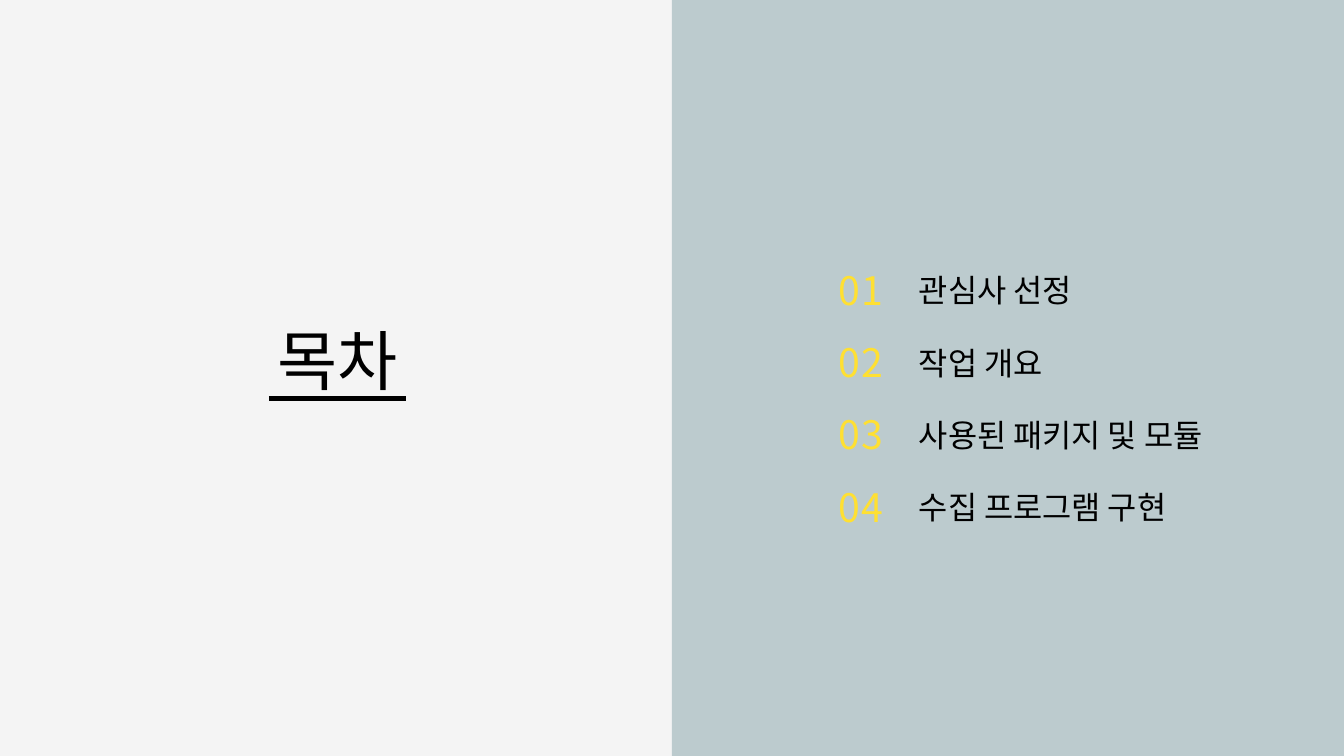
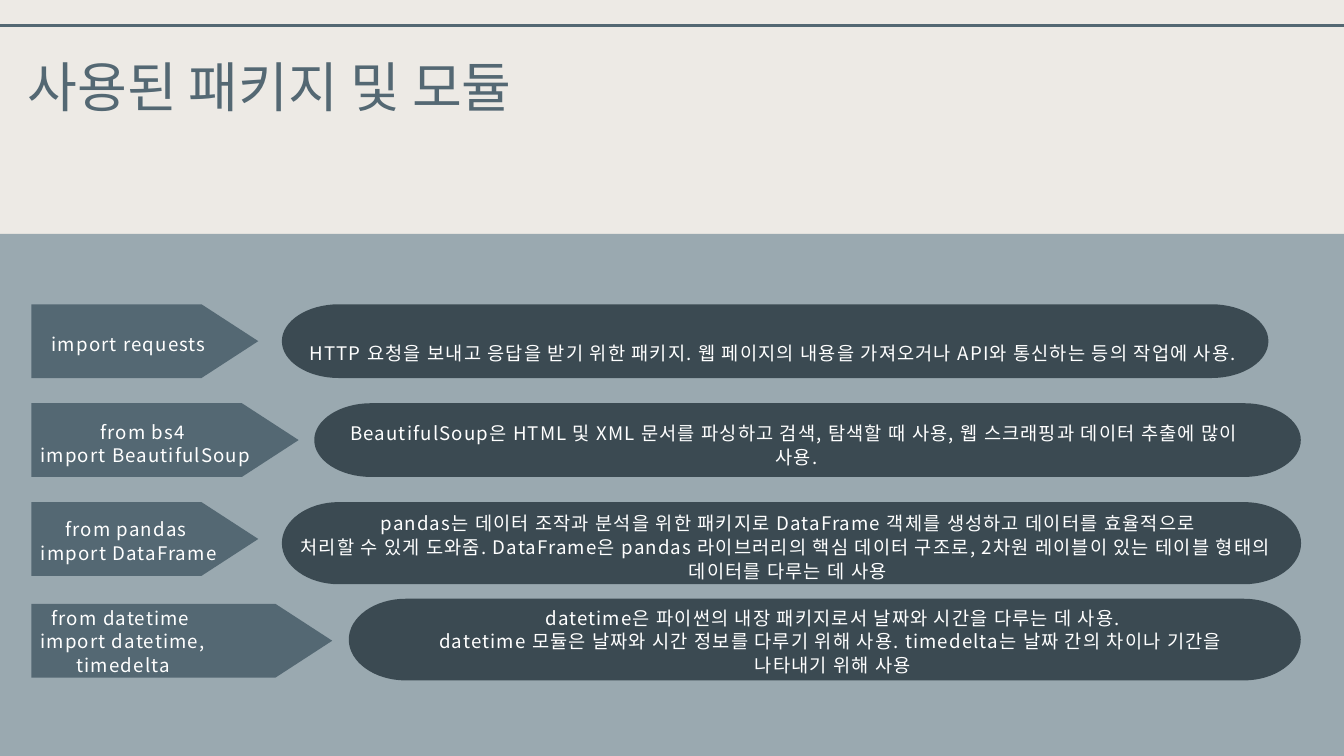
from lxml.etree import SubElement
from pptx import Presentation
from pptx.dml.color import RGBColor
from pptx.enum.shapes import MSO_CONNECTOR as CONNECTOR, MSO_SHAPE as SHAPE
from pptx.enum.text import MSO_ANCHOR as ANCHOR, MSO_AUTO_SIZE as AUTO, PP_ALIGN as ALIGN
from pptx.oxml.ns import qn
from pptx.util import Pt

WIDTH, HEIGHT = 1440, 810
FONT = "Noto Sans CJK KR"
BLACK, WHITE, YELLOW = "000000", "FFFFFF", "FFE032"
SLATE, DARK = "546873", "3B4A52"

HEADING = {"size": 70, "color": BLACK, "line": 84, "align": ALIGN.CENTER}
TITLE = {"size": 58, "color": SLATE, "line": 81.2}
NUMBER = {"size": 42, "color": YELLOW, "line": 50.4, "gap": 27.1, "spacing": 150}
ITEM = {"size": 34, "color": BLACK, "line": 40.8, "gap": 36.5}
LABEL = {"size": 20, "color": WHITE, "line": 25.4, "spacing": 120,
         "align": ALIGN.CENTER, "anchor": ANCHOR.MIDDLE, "margin": 4.3}

AGENDA = ["관심사 선정", "작업 개요", "사용된 패키지 및 모듈", "수집 프로그램 구현"]

LEFT, ARROW_HEIGHT, PILL_RADIUS, CURVE = 33.7, 79, 61, 0.55

PACKAGES = [
    {"arrow": (326, 276.7), "label": (33.7, 323, 208.5, 90.5),
     "code": ["import requests"],
     "pill": (302, 326, 1057, 79), "note": (307, 323, 1042, 109),
     "lines": ["HTTP 요청을 보내고 응답을 받기 위한 패키지. 웹 페이지의 내용을 가져오거나 "
               "API와 통신하는 등의 작업에 사용."]},
    {"arrow": (432, 320), "label": (33.7, 429, 244, 91),
     "code": ["from bs4 ", "import BeautifulSoup"],
     "pill": (336.7, 432, 1057, 79), "note": (337, 429, 1032.5, 94),
     "lines": ["BeautifulSoup은 HTML 및 XML 문서를 파싱하고 검색, 탐색할 때 사용, "
               "웹 스크래핑과 데이터 추출에 많이 ",
               "사용."]},
    {"arrow": (538, 276.7), "label": (33.7, 535, 208.5, 87.5),
     "code": ["from pandas ", "import DataFrame"],
     "pill": (302, 538, 1092, 88), "note": (302, 535, 1084, 101),
     "lines": ["pandas는 데이터 조작과 분석을 위한 패키지로 DataFrame 객체를 생성하고 "
               "데이터를 효율적으로",
               "처리할 수 있게 도와줌. DataFrame은 pandas 라이브러리의 핵심 데이터 구조로, "
               "2차원 레이블이 있는 테이블 형태의 ",
               "데이터를 다루는 데 사용"]},
    {"arrow": (647, 356), "label": (12, 642, 240, 89),
     "code": ["from datetime ", "import datetime, timedelta"],
     "pill": (373.7, 641.5, 1020, 87.5), "note": (373.5, 638.5, 1037.5, 96),
     "lines": ["datetime은 파이썬의 내장 패키지로서 날짜와 시간을 다루는 데 사용.",
               "datetime 모듈은 날짜와 시간 정보를 다루기 위해 사용. "
               "timedelta는 날짜 간의 차이나 기간을 ",
               "나타내기 위해 사용"]},
]


def rgb(color):
    return RGBColor.from_string(color)


def place(sp, box):
    for name, value in zip(("left", "top", "width", "height"), box):
        setattr(sp, name, Pt(value))


def write(sp, lines, fmt):
    tf = sp.text_frame
    margin = Pt(fmt.get("margin", 0))
    frame = {"word_wrap": True, "auto_size": AUTO.NONE,
             "vertical_anchor": fmt.get("anchor", ANCHOR.TOP),
             "margin_left": margin, "margin_top": margin,
             "margin_right": margin, "margin_bottom": margin}
    for name, value in frame.items():
        setattr(tf, name, value)
    for i, line in enumerate(lines):
        p = tf.add_paragraph() if i else tf.paragraphs[0]
        layout = {"alignment": fmt.get("align", ALIGN.LEFT), "line_spacing": Pt(fmt["line"]),
                  "space_before": Pt(fmt.get("gap", 0) if i else 0), "space_after": Pt(0)}
        for name, value in layout.items():
            setattr(p, name, value)
        pPr = p._p.get_or_add_pPr()
        for name in ("marL", "indent"):
            pPr.set(name, "0")
        SubElement(pPr, qn("a:buNone"))
        r = p.add_run()
        r.text = line
        for name, value in {"name": FONT, "size": Pt(fmt["size"])}.items():
            setattr(r.font, name, value)
        r.font.color.rgb = rgb(fmt["color"])
        rPr = r._r.get_or_add_rPr()
        if "spacing" in fmt:
            rPr.set("spc", str(fmt["spacing"]))
        SubElement(rPr, qn("a:ea")).set("typeface", FONT)


def fill_placeholder(sp, box, lines, fmt):
    place(sp, box)
    write(sp, lines, fmt)


def add_text(s, box, lines, fmt):
    write(s.shapes.add_textbox(*map(Pt, box)), lines, fmt)


def paint(sp, color):
    sp.shadow.inherit = False
    sp.fill.solid()
    sp.fill.fore_color.rgb = rgb(color)
    sp.line.fill.background()


def add_band(s, box, color, opacity=100):
    sp = s.shapes.add_shape(SHAPE.RECTANGLE, *map(Pt, box))
    paint(sp, color)
    if opacity < 100:
        clr = sp.element.spPr.find(qn("a:solidFill")).find(qn("a:srgbClr"))
        SubElement(clr, qn("a:alpha")).set("val", str(opacity * 1000))
    sp.element.getparent().insert(2, sp.element)


def add_rule(s, left, right, y, color, weight):
    line = s.shapes.add_connector(CONNECTOR.STRAIGHT, Pt(left), Pt(y), Pt(right), Pt(y))
    line.line.color.rgb = rgb(color)
    line.line.width = Pt(weight)
    SubElement(line.element.spPr, qn("a:effectLst"))


def add_arrow(s, top, tip):
    sp = s.shapes.add_shape(SHAPE.PENTAGON, Pt(LEFT), Pt(top), Pt(tip - LEFT), Pt(ARROW_HEIGHT))
    sp.adjustments[0] = 0.77
    paint(sp, SLATE)


def bend(lines):
    first, *others = lines
    first.tag = qn("a:cubicBezTo")
    for line in others:
        first.append(line[0])
        line.getparent().remove(line)


def add_pill(s, left, top, width, height):
    half = height / 2
    middle = top + half

    def cap(x, side):
        reach, rise = side * PILL_RADIUS, side * half
        return [(x + reach * CURVE, middle - rise), (x + reach, middle - rise * CURVE),
                (x + reach, middle), (x + reach, middle + rise * CURVE),
                (x + reach * CURVE, middle + rise), (x, middle + rise)]

    inner_left, inner_right = left + PILL_RADIUS, left + width - PILL_RADIUS
    points = [*cap(inner_right, 1), (inner_left, top + height), *cap(inner_left, -1)]
    builder = s.shapes.build_freeform(Pt(inner_right), Pt(top))
    builder.add_line_segments([(Pt(x), Pt(y)) for x, y in points], close=True)
    sp = builder.convert_to_shape()
    lines = list(sp.element.iter(qn("a:lnTo")))
    for start in (0, 3, 7, 10):
        bend(lines[start:start + 3])
    paint(sp, DARK)


def add_slide(prs, layout, background):
    s = prs.slides.add_slide(prs.slide_layouts.get_by_name(layout))
    s.background.fill.solid()
    s.background.fill.fore_color.rgb = rgb(background)
    return s


def build_agenda(prs):
    s = add_slide(prs, "Two Content", "F4F4F4")
    add_band(s, (WIDTH / 2, 0, WIDTH / 2, HEIGHT), "BCCBCE")
    heading, numbers, items = s.placeholders
    fill_placeholder(heading, (288, 343, 147, 86), ["목차"], HEADING)
    add_rule(s, 288, 435, 427, BLACK, 6)
    codes = [f"{i:02}" for i in range(1, len(AGENDA) + 1)]
    fill_placeholder(numbers, (898.5, 285, 80, 283), codes, NUMBER)
    fill_placeholder(items, (984.5, 290.6, 380, 273), AGENDA, ITEM)


def build_packages(prs):
    s = add_slide(prs, "Title Only", "EDEAE5")
    add_band(s, (0, 250.5, WIDTH, 559.5), "798F9B", 71)
    fill_placeholder(s.shapes.title, (29.5, 45.5, 570, 78.5), [AGENDA[2]], TITLE)
    for package in PACKAGES:
        add_arrow(s, *package["arrow"])
        add_text(s, package["label"], package["code"], LABEL)
        add_pill(s, *package["pill"])
        add_text(s, package["note"], package["lines"], LABEL)
    add_rule(s, 0, WIDTH, 27, SLATE, 3)


def main():
    prs = Presentation()
    prs.slide_width, prs.slide_height = Pt(WIDTH), Pt(HEIGHT)
    build_agenda(prs)
    build_packages(prs)
    prs.save("out.pptx")


if __name__ == "__main__":
    main()
